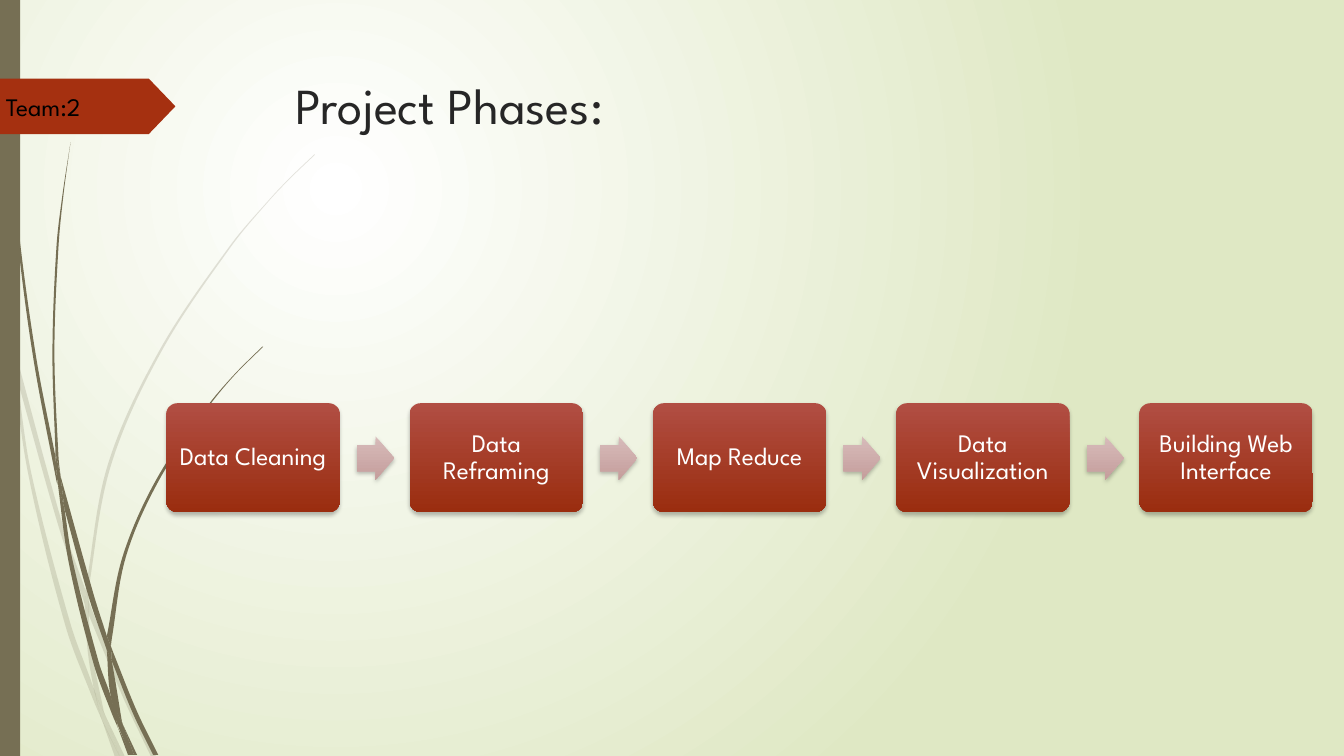
import math
from typing import NamedTuple

import pptx
import pptx.dml.color
import pptx.dml.fill
import pptx.enum.shapes
import pptx.enum.text
import pptx.oxml
import pptx.oxml.ns
import pptx.shapes.autoshape
import pptx.slide
import pptx.text.text
import pptx.util

# The slide is a grid of 13.33 columns by 7.5 rows of square cells.
CELL = pptx.util.Inches(1)
COLUMNS, ROWS = 13.33, 7.5
FONT = "League Spartan"
COLORS = {
    "glow": "FFFFFF", "meadow": "DFE8C4", "grass": "766F54", "tag": "A53010",
    "title": "262626", "team": "000000", "phase_text": "FFFFFF", "shadow": "000000",
    "phase_top": "B14E43", "phase_foot": "9A2D0F",
    "arrow_top": "D7BBBA", "arrow_foot": "C59E9C",
}
PHASES = ["Data Cleaning", "Data Reframing", "Map Reduce", "Data Visualization",
          "Building Web Interface"]
PHASE_PITCH = (11.3 - 1.65) / (len(PHASES) - 1)

Point = tuple[float, float]
Shape = pptx.shapes.autoshape.Shape
Shapes = pptx.enum.shapes.MSO_SHAPE
NAMESPACE = pptx.oxml.ns.nsdecls("a")


class Area(NamedTuple):
    left: float
    top: float
    width: float
    height: float

    def shifted(self, columns: float) -> "Area":
        return self._replace(left=self.left + columns)

    def lengths(self) -> list[int]:
        return [round(value * CELL) for value in self]


class Blade(NamedTuple):
    """A piece of grass between two smooth edges, listed in outline order."""
    there: list[Point]
    back: list[Point]


PALE_BLADES = [
    Blade([(0.11, 3.5), (0.09, 3.22), (0, 2.82)], [(0, 2.99), (0.1, 3.44)]),
    Blade([(0.17, 3.76), (0.58, 5.22), (0.84, 5.99)], [(0.85, 5.86), (0.62, 5.2), (0.14, 3.45)]),
    Blade([(0.88, 6.1), (1.23, 6.94), (1.5, 7.51)],
          [(1.55, 7.51), (1.27, 6.92), (0.92, 6.07), (0.88, 5.96)]),
    Blade([(1.05, 7.11), (1.19, 7.51)], [(1.24, 7.51)]),
    Blade([(0.11, 3.5), (0.28, 4.7), (0.65, 6.21), (0.92, 6.93), (1.01, 7.14)],
          [(0.99, 7.07), (0.93, 6.83), (0.7, 6.19), (0.31, 4.69), (0.17, 3.76)]),
    Blade([(0.84, 5.99), (0.87, 6.46), (0.93, 6.83), (0.96, 6.92), (1.05, 7.11)],
          [(1.03, 7.06), (0.91, 6.46), (0.88, 6.1), (0.88, 6.08)]),
    Blade([(0.88, 5.96), (0.88, 5.84), (1.1, 4.62), (1.6, 3.49), (2.29, 2.45), (2.68, 1.98),
           (2.9, 1.75), (3.12, 1.54)],
          [(3.12, 1.53), (2.89, 1.75), (2.68, 1.97), (2.28, 2.44), (1.58, 3.48), (1.07, 4.61),
           (0.85, 5.84), (0.85, 5.86)]),
    Blade([(1.01, 7.14), (1.14, 7.51)], [(1.19, 7.51)]),
    Blade([(0.88, 6.08), (0.88, 6.1), (0.88, 5.96), (0.85, 5.86)], [(0.84, 5.99)]),
    Blade([(0.93, 6.83), (0.99, 7.07), (1.01, 7.14), (1.19, 7.51)], [(1.05, 7.11), (0.96, 6.92)]),
]
DARK_BLADES = [
    Blade([(0.03, 0), (0.04, 0.48), (0.07, 1.1), (0.17, 2.33), (0.33, 3.55), (0.56, 4.77),
           (0.57, 4.81)],
          [(0.55, 4.53), (0.36, 3.55), (0.19, 2.32), (0.08, 1.09), (0.05, 0.48), (0.04, 0)]),
    Blade([(0.64, 5.05), (0.88, 5.92), (1.06, 6.45)], [(1.06, 6.31), (0.93, 5.9), (0.6, 4.72)]),
    Blade([(1.11, 6.56), (1.32, 7.08), (1.52, 7.49)],
          [(1.57, 7.49), (1.36, 7.06), (1.13, 6.49), (1.1, 6.41)]),
    Blade([(0.57, 4.77), (0.68, 5.57), (0.93, 6.59), (1.11, 7.08), (1.17, 7.22)],
          [(1.16, 7.17), (1.1, 6.91), (0.98, 6.57), (0.72, 5.56), (0.64, 5.05)]),
    Blade([(0.6, 4.72), (0.58, 4.53), (0.54, 3.49), (0.58, 2.45), (0.63, 1.93), (0.7, 1.41)],
          [(0.7, 1.41), (0.62, 1.93), (0.56, 2.45), (0.52, 3.49), (0.55, 4.49)]),
    Blade([(1.22, 7.19), (1.33, 7.49)], [(1.36, 7.49)]),
    Blade([(0.55, 4.53), (0.57, 4.77), (0.64, 5.05)], [(0.6, 4.72), (0.55, 4.49)]),
    Blade([(1.1, 6.41), (1.11, 6.33), (1.25, 5.52), (1.58, 4.76), (2.05, 4.06), (2.31, 3.74),
           (2.61, 3.44)],
          [(2.6, 3.44), (2.31, 3.73), (2.04, 4.05), (1.56, 4.74), (1.22, 5.51), (1.06, 6.31)]),
    Blade([(1.17, 7.22), (1.27, 7.49)], [(1.31, 7.49)]),
    Blade([(1.06, 6.45), (1.1, 6.91), (1.22, 7.19)], [(1.21, 7.16), (1.11, 6.56), (1.09, 6.51)]),
    Blade([(1.06, 6.45), (1.11, 6.56)], [(1.1, 6.41), (1.06, 6.31)]),
    Blade([(1.1, 6.91), (1.16, 7.17), (1.3, 7.49)], [(1.33, 7.49), (1.22, 7.19), (1.16, 7.06)]),
]


def color(name: str) -> pptx.dml.color.RGBColor:
    return pptx.dml.color.RGBColor.from_string(COLORS[name])


def fill_gradient(fill: pptx.dml.fill.FillFormat, first: str, last: str) -> None:
    fill.gradient()
    fill.gradient_angle = 270
    for stop, name in zip(fill.gradient_stops, (first, last)):
        stop.color.rgb = color(name)


def paint_background(slide: pptx.slide.Slide) -> None:
    fill_gradient(slide.background.fill, "glow", "meadow")
    linear = next(slide.element.iter(pptx.oxml.ns.qn("a:lin")))
    linear.getparent().replace(linear, pptx.oxml.parse_xml(
        f'<a:path {NAMESPACE} path="circle">'
        '<a:fillToRect l="50000" t="50000" r="100000" b="100000"/></a:path>'))


def finish(shape: Shape, fill_name: str | None = None) -> None:
    """Remove outline and shadow, and give a plain fill if one is named."""
    shape.shadow.inherit = False
    shape.line.fill.background()
    if fill_name:
        shape.fill.solid()
        shape.fill.fore_color.rgb = color(fill_name)


def handle(start: Point, toward: Point, before: Point, after: Point) -> Point:
    """Place a curve handle a third of the way along, parallel to before-after."""
    reach = math.dist(start, toward) / 3 / (math.dist(before, after) or 1)
    return tuple(s + reach * (a - b) for s, b, a in zip(start, before, after))


def bend_edges(shape: Shape, blade: Blade) -> None:
    """Turn the straight segments within each edge into smooth cubic curves."""
    left, top = shape.left, shape.top
    lines = list(shape.element.spPr.iter(pptx.oxml.ns.qn("a:lnTo")))
    for edge, first in ((blade.there, 0), (blade.back, len(blade.there))):
        points = [(x * CELL - left, y * CELL - top) for x, y in edge]
        padded = [points[0], *points, points[-1]]
        for line, a, b, c, d in zip(lines[first:], padded, padded[1:], padded[2:-1], padded[3:]):
            controls = "".join(f'<a:pt x="{round(x)}" y="{round(y)}"/>' for x, y in
                               (handle(b, c, a, c), handle(c, b, d, b), c))
            line.getparent().replace(line, pptx.oxml.parse_xml(
                f'<a:cubicBezTo {NAMESPACE}>{controls}</a:cubicBezTo>'))


def draw_blade(slide: pptx.slide.Slide, blade: Blade, opacity: int) -> None:
    outline = [(round(x * CELL), round(y * CELL)) for x, y in blade.there + blade.back]
    builder = slide.shapes.build_freeform(*outline[0])
    builder.add_line_segments(outline[1:], close=True)
    shape = builder.convert_to_shape()
    bend_edges(shape, blade)
    finish(shape, "grass")
    if opacity < 100:
        tint = next(shape.element.spPr.iter(pptx.oxml.ns.qn("a:srgbClr")))
        tint.append(pptx.oxml.parse_xml(f'<a:alpha {NAMESPACE} val="{opacity * 1000}"/>'))


def draw_raised(slide: pptx.slide.Slide, kind: Shapes, area: Area, shades: str,
                adjustments: list[float]) -> Shape:
    """Draw a preset shape with a gradient and a soft shadow below it."""
    shape = slide.shapes.add_shape(kind, *area.lengths())
    for index, value in enumerate(adjustments):
        shape.adjustments[index] = value
    fill_gradient(shape.fill, f"{shades}_top", f"{shades}_foot")
    finish(shape)
    shape.element.spPr.find(pptx.oxml.ns.qn("a:effectLst")).append(pptx.oxml.parse_xml(
        f'<a:outerShdw {NAMESPACE} blurRad="{pptx.util.Pt(3)}" dist="{pptx.util.Pt(2)}" '
        f'dir="5400000" rotWithShape="0"><a:srgbClr val="{COLORS["shadow"]}">'
        '<a:alpha val="25000"/></a:srgbClr></a:outerShdw>'))
    return shape


def write(frame: pptx.text.text.TextFrame, words: str, size: int, color_name: str) -> None:
    frame.word_wrap = True
    frame.text = words
    font = frame.paragraphs[0].runs[0].font
    font.name, font.size, font.color.rgb = FONT, pptx.util.Pt(size), color(color_name)


def draw_phase(slide: pptx.slide.Slide, words: str, column: float) -> None:
    area = Area(1.65, 4, 1.72, 1.08).shifted(column)
    frame = draw_raised(slide, Shapes.ROUNDED_RECTANGLE, area, "phase", [0.1]).text_frame
    frame.vertical_anchor = pptx.enum.text.MSO_ANCHOR.MIDDLE
    write(frame, words, 18, "phase_text")
    frame.paragraphs[0].alignment = pptx.enum.text.PP_ALIGN.CENTER
    frame.paragraphs[0].line_spacing = 0.9


def main() -> None:
    deck = pptx.Presentation()
    deck.slide_width, deck.slide_height = round(COLUMNS * CELL), round(ROWS * CELL)
    page = deck.slides.add_slide(deck.slide_layouts[6])
    paint_background(page)
    for blades, opacity in ((PALE_BLADES, 20), (DARK_BLADES, 100)):
        for blade in blades:
            draw_blade(page, blade, opacity)
    stem = page.shapes.add_shape(Shapes.RECTANGLE, *Area(0, 0, 0.2, ROWS).lengths())
    finish(stem, "grass")
    tag = page.shapes.add_shape(Shapes.PENTAGON, *Area(0, 0.78, 1.74, 0.55).lengths())
    tag.adjustments[0] = 0.48
    finish(tag, "tag")
    for area, words, size, color_name in (
            (Area(2.83, 0.69, 9.75, 1.4), "Project Phases:", 36, "title"),
            (Area(-0.04, 0.86, 2.26, 0.4), "Team:2", 18, "team")):
        write(page.shapes.add_textbox(*area.lengths()).text_frame, words, size, color_name)
    for index, words in enumerate(PHASES):
        column = index * PHASE_PITCH
        draw_phase(page, words, column)
        if index < len(PHASES) - 1:
            area = Area(3.54, 4.33, 0.37, 0.43).shifted(column)
            draw_raised(page, Shapes.RIGHT_ARROW, area, "arrow", [0.6, 0.5])
    deck.save("out.pptx")


if __name__ == "__main__":
    main()
